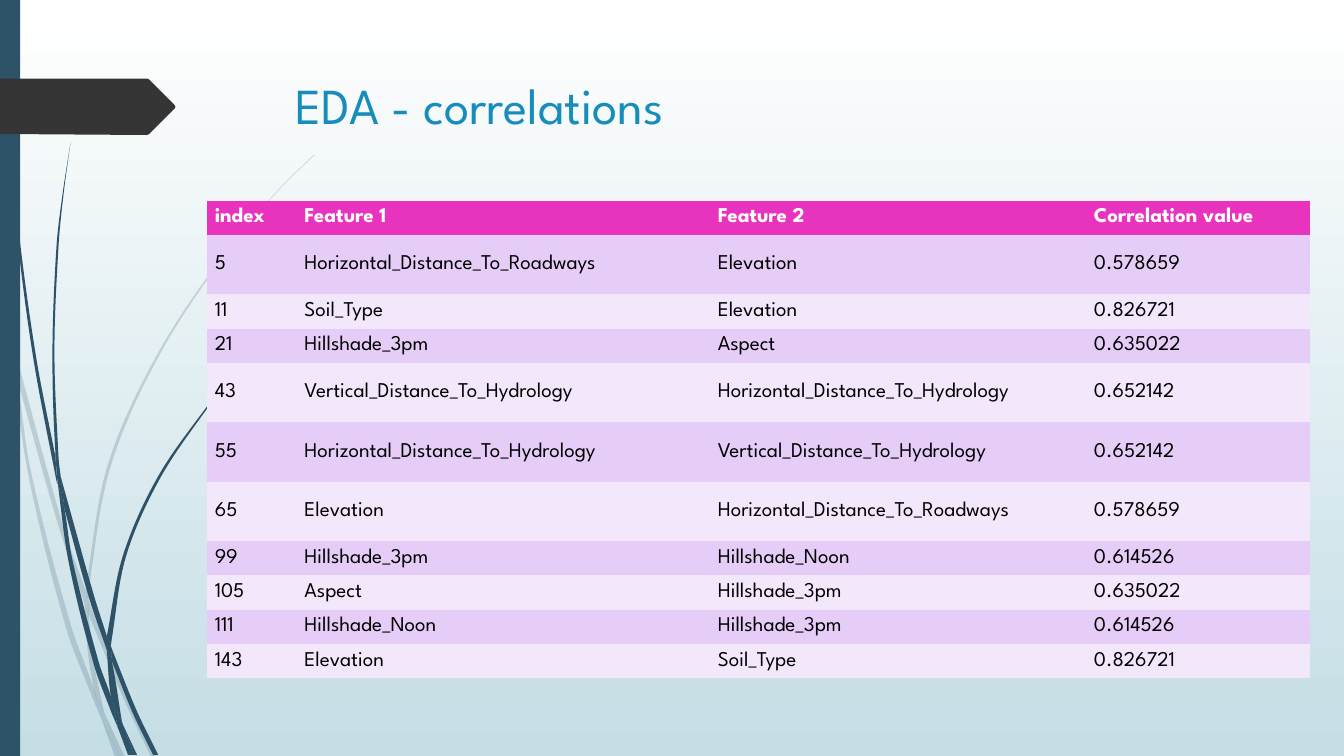
import math

import pptx
import pptx.dml.color
import pptx.enum.shapes
import pptx.enum.text
import pptx.oxml
import pptx.oxml.ns
import pptx.util
from pptx.util import Inches

RGBColor = pptx.dml.color.RGBColor
WHITE = RGBColor(0xFF, 0xFF, 0xFF)
BLACK = RGBColor(0x00, 0x00, 0x00)
SKY = RGBColor(0xC5, 0xDE, 0xE5)
NAVY = RGBColor(0x2E, 0x53, 0x69)
CHARCOAL = RGBColor(0x35, 0x35, 0x35)
TITLE_BLUE = RGBColor(0x17, 0x8D, 0xBB)
PINK = RGBColor(0xE8, 0x33, 0xBF)
LILAC = RGBColor(0xE6, 0xCD, 0xF7)
PALE_LILAC = RGBColor(0xF3, 0xE8, 0xFB)
FONT = "League Spartan"
NO_STYLE = "{2D5ABB26-0587-4C30-8999-92F81FD0307C}"

PALE_BLADES = [
    ([(0, 2.82), (0.09, 3.22), (0.11, 3.5)], [(0.1, 3.44), (0, 2.99)]),
    ([(0.14, 3.45), (0.62, 5.2), (0.85, 5.86)],
     [(0.84, 5.99), (0.58, 5.22), (0.17, 3.76)]),
    ([(0.88, 5.96), (0.92, 6.07), (1.27, 6.92), (1.55, 7.51)],
     [(1.5, 7.51), (1.23, 6.94), (0.88, 6.1)]),
    ([(1.05, 7.11), (1.24, 7.51)], [(1.19, 7.51)]),
    ([(0.11, 3.5), (0.17, 3.76), (0.31, 4.69), (0.7, 6.19), (0.93, 6.83), (0.99, 7.07), (1.01, 7.14)],
     [(0.92, 6.93), (0.65, 6.21), (0.28, 4.7), (0.11, 3.5)]),
    ([(0.84, 5.99), (0.87, 6.46), (0.93, 6.83), (0.96, 6.92), (1.05, 7.11)],
     [(1.03, 7.06), (0.91, 6.46), (0.88, 6.1), (0.84, 5.99)]),
    ([(0.88, 5.96), (0.88, 5.84), (1.1, 4.62), (1.6, 3.49), (2.29, 2.45), (2.68, 1.98), (2.9, 1.75), (3.12, 1.54)],
     [(3.12, 1.53), (2.89, 1.75), (2.68, 1.97), (2.28, 2.44), (1.58, 3.48), (1.07, 4.61), (0.85, 5.84), (0.85, 5.86)]),
    ([(1.01, 7.14), (1.14, 7.51)], [(1.19, 7.51)]),
    ([(0.85, 5.86), (0.88, 5.96), (0.88, 6.1)], [(0.84, 5.99)]),
    ([(0.93, 6.83), (0.99, 7.07), (1.01, 7.14), (1.19, 7.51)],
     [(1.19, 7.51), (1.05, 7.11), (0.96, 6.92)]),
]

DARK_BLADES = [
    ([(0.03, 0), (0.04, 0.48), (0.07, 1.1), (0.17, 2.33), (0.33, 3.55), (0.56, 4.77), (0.57, 4.81)],
     [(0.55, 4.53), (0.36, 3.55), (0.19, 2.32), (0.08, 1.09), (0.05, 0.48), (0.04, 0)]),
    ([(0.6, 4.72), (0.93, 5.9), (1.06, 6.31)], [(1.06, 6.45), (0.88, 5.92), (0.64, 5.05)]),
    ([(1.1, 6.41), (1.13, 6.49), (1.36, 7.06), (1.57, 7.49)],
     [(1.52, 7.49), (1.32, 7.08), (1.11, 6.56)]),
    ([(0.57, 4.77), (0.64, 5.05), (0.72, 5.56), (0.98, 6.57), (1.1, 6.91), (1.16, 7.17), (1.17, 7.22)],
     [(1.11, 7.08), (0.93, 6.59), (0.68, 5.57), (0.57, 4.77)]),
    ([(0.6, 4.72), (0.58, 4.53), (0.54, 3.49), (0.58, 2.45), (0.63, 1.93), (0.7, 1.41)],
     [(0.7, 1.41), (0.62, 1.93), (0.56, 2.45), (0.52, 3.49), (0.55, 4.49), (0.6, 4.72)]),
    ([(1.22, 7.19), (1.36, 7.49)], [(1.33, 7.49)]),
    ([(0.55, 4.49), (0.6, 4.72), (0.64, 5.05)], [(0.57, 4.77), (0.55, 4.53)]),
    ([(1.1, 6.41), (1.11, 6.33), (1.25, 5.52), (1.58, 4.76), (2.05, 4.06), (2.31, 3.74), (2.45, 3.59), (2.61, 3.44)],
     [(2.6, 3.44), (2.45, 3.58), (2.31, 3.73), (2.04, 4.05), (1.56, 4.74), (1.22, 5.51), (1.06, 6.31)]),
    ([(1.17, 7.22), (1.31, 7.49)], [(1.27, 7.49)]),
    ([(1.06, 6.45), (1.1, 6.91), (1.16, 7.06), (1.22, 7.19)],
     [(1.21, 7.16), (1.11, 6.56), (1.06, 6.45)]),
    ([(1.06, 6.31), (1.1, 6.41), (1.11, 6.56)], [(1.06, 6.45)]),
    ([(1.1, 6.91), (1.16, 7.17), (1.17, 7.22), (1.3, 7.49)],
     [(1.33, 7.49), (1.22, 7.19), (1.16, 7.06)]),
]

POINTER = [(0, 0.78), (1.46, 0.78), (1.48, 0.79), (1.73, 1.04), (1.74, 1.06),
           (1.73, 1.08), (1.48, 1.33), (1.46, 1.34), (0, 1.33)]

COLUMN_WIDTHS = [0.89, 4.1, 3.73, 2.22]
ROW_HEIGHT, TALL_ROW_HEIGHT = 0.34, 0.59
TALL_ROWS = {1, 4, 5, 6}
CORRELATIONS = [
    ("index", "Feature 1", "Feature 2", "Correlation value"),
    ("5", "Horizontal_Distance_To_Roadways", "Elevation", "0.578659"),
    ("11", "Soil_Type", "Elevation", "0.826721"),
    ("21", "Hillshade_3pm", "Aspect", "0.635022"),
    ("43", "Vertical_Distance_To_Hydrology", "Horizontal_Distance_To_Hydrology", "0.652142"),
    ("55", "Horizontal_Distance_To_Hydrology", "Vertical_Distance_To_Hydrology", "0.652142"),
    ("65", "Elevation", "Horizontal_Distance_To_Roadways", "0.578659"),
    ("99", "Hillshade_3pm", "Hillshade_Noon", "0.614526"),
    ("105", "Aspect", "Hillshade_3pm", "0.635022"),
    ("111", "Hillshade_Noon", "Hillshade_3pm", "0.614526"),
    ("143", "Elevation", "Soil_Type", "0.826721"),
]


def paint(shape, color):
    """Give a shape a plain fill with neither line nor shadow."""
    shape.shadow.inherit = False
    shape.fill.solid()
    shape.fill.fore_color.rgb = color
    shape.line.fill.background()


def add_outline(shapes, points, color):
    """Add a closed filled outline through points in inches."""
    corners = [(Inches(x), Inches(y)) for x, y in points]
    builder = shapes.build_freeform(*corners[0], scale=1.0)
    builder.add_line_segments(corners[1:], close=True)
    shape = builder.convert_to_shape()
    paint(shape, color)
    return shape


def tangents(points):
    """Return the direction of a smooth curve at each of its points."""
    last = len(points) - 1
    neighbours = [points[max(i - 1, 0):min(i + 1, last) + 1] for i in range(last + 1)]
    lengths = [sum(map(math.dist, near, near[1:])) for near in neighbours]
    return [((near[-1][0] - near[0][0]) / length, (near[-1][1] - near[0][1]) / length)
            for near, length in zip(neighbours, lengths)]


def bend_edge(segments):
    """Turn the straight segments after the first node into one smooth curve."""
    ends = [segment[0] for segment in segments]
    points = [(int(end.get("x")), int(end.get("y"))) for end in ends]
    directions = tangents(points)
    for i, segment in enumerate(segments[1:], 1):
        third = math.dist(points[i - 1], points[i]) / 3
        segment.tag = pptx.oxml.ns.qn("a:cubicBezTo")
        for place, (node, sign) in enumerate(((i - 1, 1), (i, -1))):
            x, y = (round(value + sign * third * slope)
                    for value, slope in zip(points[node], directions[node]))
            control = pptx.oxml.parse_xml(
                f'<a:pt {pptx.oxml.ns.nsdecls("a")} x="{x}" y="{y}"/>')
            segment.insert(place, control)
        segment.append(ends[i])


def add_blades(slide, blades, opacity=100):
    """Add a group of curved grass blades, each bounded by two edges."""
    group = slide.shapes.add_group_shape()
    for outward, back in blades:
        shape = add_outline(group.shapes, outward + back, NAVY)
        segments = list(shape._element.find(".//" + pptx.oxml.ns.qn("a:path")))[:-1]
        for edge in (segments[len(outward):], segments[:len(outward)]):
            if len(edge) > 1:
                bend_edge(edge)
        if opacity < 100:
            color = shape.fill._xPr.find(".//" + pptx.oxml.ns.qn("a:srgbClr"))
            alpha = pptx.oxml.parse_xml(
                f'<a:alpha {pptx.oxml.ns.nsdecls("a")} val="{opacity * 1000}"/>')
            color.append(alpha)


def set_font(paragraph, size, color, bold=False):
    """Set the font of a whole paragraph."""
    paragraph.font.name = FONT
    paragraph.font.size = pptx.util.Pt(size)
    paragraph.font.bold = bold
    paragraph.font.color.rgb = color


def add_title(slide, text):
    """Add the slide title."""
    box = slide.shapes.add_textbox(Inches(2.83), Inches(0.69), Inches(9.75), Inches(1.4))
    box.text_frame.word_wrap = True
    box.text_frame.text = text
    set_font(box.text_frame.paragraphs[0], 36, TITLE_BLUE)


def add_correlation_table(slide):
    """Add the banded table of correlated features."""
    heights = [TALL_ROW_HEIGHT if index in TALL_ROWS else ROW_HEIGHT
               for index in range(len(CORRELATIONS))]
    table = slide.shapes.add_table(
        len(CORRELATIONS), len(COLUMN_WIDTHS), Inches(2.05), Inches(1.99),
        Inches(sum(COLUMN_WIDTHS)), Inches(sum(heights))).table
    table._tbl.tblPr.find(pptx.oxml.ns.qn("a:tableStyleId")).text = NO_STYLE
    for column, width in zip(table.columns, COLUMN_WIDTHS):
        column.width = Inches(width)
    for index, (row, values) in enumerate(zip(table.rows, CORRELATIONS)):
        row.height = Inches(heights[index])
        header = index == 0
        for cell, value in zip(row.cells, values):
            cell.text = value
            cell.vertical_anchor = pptx.enum.text.MSO_ANCHOR.MIDDLE
            cell.margin_left = cell.margin_right = Inches(0.08)
            cell.margin_top = cell.margin_bottom = Inches(0.04)
            cell.fill.solid()
            cell.fill.fore_color.rgb = PINK if header else LILAC if index % 2 else PALE_LILAC
            set_font(cell.text_frame.paragraphs[0], 15, WHITE if header else BLACK, header)


def main():
    """Build the slide and save it."""
    presentation = pptx.Presentation()
    presentation.slide_width, presentation.slide_height = Inches(13.33), Inches(7.5)
    slide = presentation.slides.add_slide(presentation.slide_layouts[6])
    background = slide.background.fill
    background.gradient()
    background.gradient_angle = 270
    for stop, color in zip(background.gradient_stops, (WHITE, SKY)):
        stop.color.rgb = color
    add_blades(slide, PALE_BLADES, opacity=20)
    add_blades(slide, DARK_BLADES)
    side_bar = slide.shapes.add_shape(
        pptx.enum.shapes.MSO_SHAPE.RECTANGLE, 0, 0, Inches(0.2), Inches(7.5))
    paint(side_bar, NAVY)
    add_outline(slide.shapes, POINTER, CHARCOAL)
    add_title(slide, "EDA - correlations")
    add_correlation_table(slide)
    presentation.save("out.pptx")


if __name__ == "__main__":
    main()
